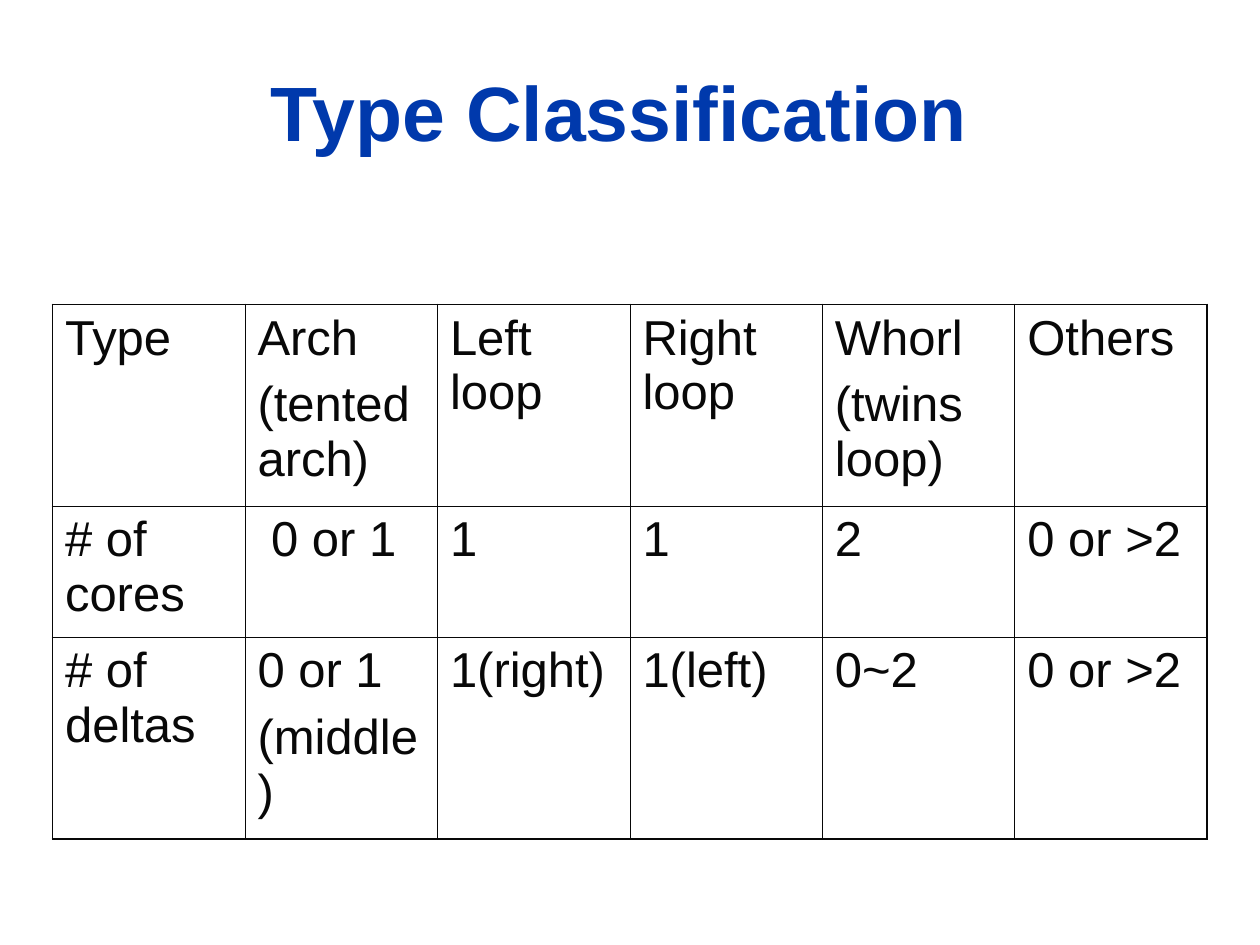
"""Build the Type Classification slide with its table of cores and deltas."""
from lxml.etree import SubElement
from pptx import Presentation
from pptx.dml.color import RGBColor
from pptx.enum.text import MSO_ANCHOR, PP_ALIGN
from pptx.oxml.ns import qn
from pptx.util import Pt

TITLE = "Type Classification "
ROWS = [
    ["Type", "Arch\n(tented arch)", "Left loop", "Right loop", "Whorl\n(twins loop)", "Others"],
    ["# of cores", " 0 or 1", "1", "1", "2", "0 or >2"],
    ["# of deltas", "0 or 1\n(middle)", "1(right)", "1(left)", "0~2", "0 or >2"],
]
ROW_HEIGHTS = [115.2, 74.9, 115.2]
COLUMN_WIDTH = 110
INK, BLUE = "080808", "0039AC"
INNER, OUTER = 0.45, 1.08


def color(hex_string):
    return RGBColor.from_string(hex_string)


def write(frame, text, size, ink, bold=False, align=PP_ALIGN.LEFT, gap=0):
    frame.word_wrap = True
    frame.text = text
    for index, paragraph in enumerate(frame.paragraphs):
        paragraph.alignment = align
        paragraph.space_before = Pt(gap if index else 0)
        for run in paragraph.runs:
            run.font.name = "Arial"
            run.font.size = Pt(size)
            run.font.bold = bold
            run.font.color.rgb = color(ink)


def draw_borders(cell, widths):
    properties = cell._tc.get_or_add_tcPr()
    for position, (side, width) in enumerate(widths.items()):
        line = SubElement(properties, qn(f"a:ln{side}"), w=str(int(Pt(width))))
        SubElement(SubElement(line, qn("a:solidFill")), qn("a:srgbClr"), val=INK)
        properties.insert(position, line)


def add_title(slide):
    title = slide.shapes.add_textbox(Pt(24), Pt(18), Pt(672), Pt(90))
    title.text_frame.vertical_anchor = MSO_ANCHOR.MIDDLE
    write(title.text_frame, TITLE, 44, BLUE, bold=True, align=PP_ALIGN.CENTER)


def add_types(slide):
    last_row, last_column = len(ROWS) - 1, len(ROWS[0]) - 1
    types = slide.shapes.add_table(
        len(ROWS), len(ROWS[0]), Pt(30), Pt(174),
        Pt(COLUMN_WIDTH * len(ROWS[0])), Pt(sum(ROW_HEIGHTS)),
    ).table
    types.first_row = types.horz_banding = False
    for column in types.columns:
        column.width = Pt(COLUMN_WIDTH)
    for r, (entries, height) in enumerate(zip(ROWS, ROW_HEIGHTS)):
        types.rows[r].height = Pt(height)
        for c, entry in enumerate(entries):
            cell = types.cell(r, c)
            cell.fill.background()
            write(cell.text_frame, entry, 28, INK, gap=7)
            on_edge = {"L": c == 0, "R": c == last_column, "T": r == 0, "B": r == last_row}
            draw_borders(cell, {side: OUTER if edge else INNER for side, edge in on_edge.items()})


def main():
    deck = Presentation()
    deck.slide_width, deck.slide_height = Pt(720), Pt(540)
    slide = deck.slides.add_slide(deck.slide_layouts[6])
    add_title(slide)
    add_types(slide)
    deck.save("out.pptx")


if __name__ == "__main__":
    main()
